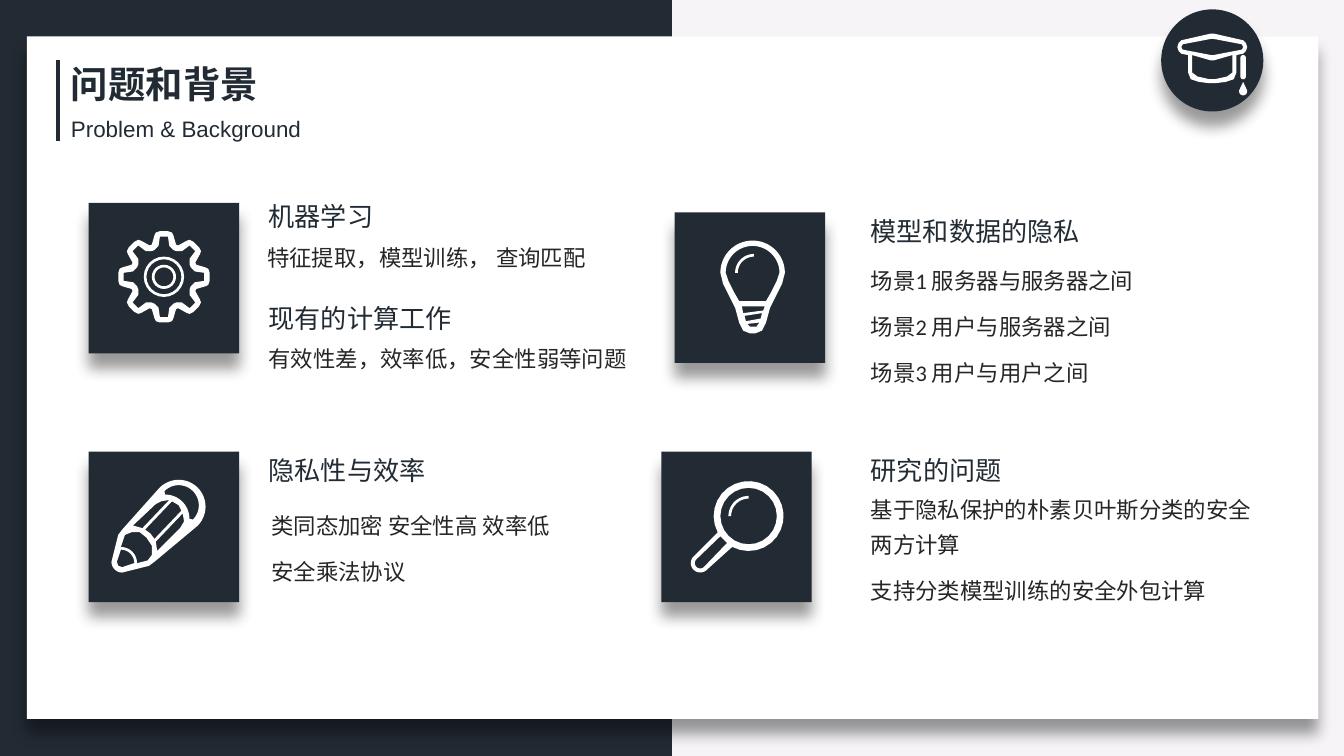
"""Build the problem and background slide with four icon tiles and their texts."""
from dataclasses import dataclass
from math import cos, radians, sin

from lxml.etree import SubElement
from pptx import Presentation
from pptx.dml.color import RGBColor
from pptx.enum.shapes import MSO_CONNECTOR as Connector
from pptx.enum.shapes import MSO_SHAPE as Preset
from pptx.enum.text import MSO_AUTO_SIZE as AutoSize
from pptx.oxml.ns import qn
from pptx.util import Inches, Pt

NAVY = RGBColor(0x22, 0x2B, 0x34)
GREY = RGBColor(0x26, 0x26, 0x26)
WHITE = RGBColor(0xFF, 0xFF, 0xFF)
PALE = RGBColor(0xF6, 0xF4, 0xF7)
CJK_FONT = "Noto Sans CJK SC"
SLIDE_WIDTH = 10
SLIDE_HEIGHT = SLIDE_WIDTH * 9 / 16

Point = tuple[float, float]
Contour = list[Point]


@dataclass(frozen=True)
class Style:
    font: dict
    color: RGBColor
    paragraph: dict
    wrap: bool = False


@dataclass(frozen=True)
class Label:
    left: float
    top: float
    width: float
    height: float
    style: Style
    lines: tuple[str, ...]


@dataclass(frozen=True)
class Badge:
    left: float
    top: float
    size: float
    preset: Preset
    icon: list[list[Contour]]


TITLE = Style({"size": Pt(20), "name": CJK_FONT, "bold": True}, NAVY, {})
SUBTITLE = Style({"size": Pt(12), "name": "Arial"}, NAVY, {})
HEADING = Style({"size": Pt(14), "name": "Arial"}, NAVY, {})
BODY = Style({"size": Pt(12), "name": "Calibri"}, GREY,
             {"line_spacing": 1.3, "space_before": Pt(6)}, True)

LABELS = [
    Label(0.43, 0.41, 1.67, 0.44, TITLE, ("问题和背景",)),
    Label(0.43, 0.81, 1.93, 0.3, SUBTITLE, ("Problem & Background",)),
    Label(1.9, 1.44, 0.99, 0.34, HEADING, ("机器学习",)),
    Label(1.89, 1.71, 3.12, 0.36, BODY, ("特征提取，模型训练， 查询匹配",)),
    Label(1.9, 2.2, 1.58, 0.34, HEADING, ("现有的计算工作",)),
    Label(1.9, 2.46, 3.12, 0.36, BODY, ("有效性差，效率低，安全性弱等问题",)),
    Label(6.38, 1.55, 1.83, 0.34, HEADING, ("模型和数据的隐私",)),
    Label(6.38, 1.88, 3.12, 1.06, BODY, ("场景1 服务器与服务器之间", "场景2 用户与服务器之间", "场景3 用户与用户之间")),
    Label(1.9, 3.33, 1.38, 0.34, HEADING, ("隐私性与效率",)),
    Label(1.92, 3.7, 2.89, 0.71, BODY, ("类同态加密 安全性高 效率低", "安全乘法协议")),
    Label(6.38, 3.33, 1.18, 0.34, HEADING, ("研究的问题",)),
    Label(6.38, 3.58, 3.12, 0.97, BODY, ("基于隐私保护的朴素贝叶斯分类的安全两方计算", "支持分类模型训练的安全外包计算")),
]


def arc(x: float, y: float, radius: float, start: float = 0, end: float = 360) -> Contour:
    """Return points along an arc, with angles running clockwise from the right."""
    angles = [radians(start + (end - start) * step / 24) for step in range(25)]
    return [(x + radius * cos(angle), y + radius * sin(angle)) for angle in angles]


def mirror(axis: float, half: Contour) -> Contour:
    """Close a right half, listed top to bottom, with its reflection."""
    return half + [(2 * axis - x, y) for x, y in reversed(half)]


def ring(x: float, y: float, outer: float, inner: float) -> list[Contour]:
    """Return the two edges of a ring."""
    return [arc(x, y, outer), arc(x, y, inner)]


def glint(x: float, y: float, outer: float, inner: float) -> list[Contour]:
    """Return a quarter band of reflected light."""
    return [arc(x, y, outer, 180, 270) + arc(x, y, inner, 270, 180)]


def cog(x: float, y: float, half_tooth: Contour) -> Contour:
    """Turn one mirrored tooth around a centre eight times."""
    tooth = [(-dx, dy) for dx, dy in half_tooth] + half_tooth[::-1]
    turns = [radians(45 * step) for step in range(8)]
    return [(x + dx * cos(turn) - dy * sin(turn), y + dx * sin(turn) + dy * cos(turn))
            for turn in turns for dx, dy in tooth]


CAP = [
    [mirror(9.02, [(9.03, 0.25), (9.25, 0.3), (9.27, 0.32), (9.28, 0.35), (9.27, 0.38), (9.25, 0.4),
                   (9.2, 0.41), (9.2, 0.54), (9.18, 0.59), (9.12, 0.61), (9.04, 0.62)]),
     mirror(9.02, [(9.03, 0.29), (9.24, 0.33), (9.25, 0.35), (9.24, 0.37), (9.03, 0.41)]),
     mirror(9.02, [(9.03, 0.45), (9.17, 0.41), (9.17, 0.54), (9.13, 0.57), (9.04, 0.59)])],
    [arc(9.25, 0.43, 0.02, 180, 360) + arc(9.25, 0.57, 0.02, 0, 180)],
    [[(9.25, 0.61)] + arc(9.25, 0.68, 0.03, -20, 200)],
]
PENCIL = [[
    arc(1.33, 3.77, 0.2, 225, 405) + [(1.15, 4.18), (1.11, 4.21)]
    + arc(0.91, 4.18, 0.08, 90, 180) + [(0.88, 3.98), (0.91, 3.94)],
    arc(1.33, 3.76, 0.15, 225, 405) + arc(1.23, 3.86, 0.18, 0, -90),
    arc(0.9, 4.19, 0.12, 0, -90) + [(0.93, 3.98), (0.98, 3.96), (1.04, 3.96), (1.09, 4),
                                    (1.13, 4.06), (1.13, 4.13), (1.1, 4.17)],
    arc(0.9, 4.19, 0.1, 0, -90) + [(0.87, 4.18), (0.88, 4.21), (0.91, 4.22)],
    [(1.06, 3.93), (0.99, 3.91), (1.16, 3.75), (1.2, 3.73), (1.26, 3.72)],
    [(1.15, 4.01), (1.12, 3.97), (1.08, 3.94), (1.28, 3.73), (1.33, 3.76), (1.35, 3.8)],
    [(1.17, 4.1), (1.16, 4.03), (1.36, 3.82), (1.37, 3.88), (1.34, 3.93)],
]]
BULB = [
    [mirror(5.6, arc(5.6, 2.03, 0.24, -90, 0) + [
        (5.82, 2.11), (5.78, 2.19), (5.73, 2.29), (5.7, 2.4), (5.67, 2.46), (5.62, 2.48)]),
     mirror(5.6, arc(5.6, 2.03, 0.2, -90, 0) + [(5.78, 2.09), (5.74, 2.17), (5.7, 2.24)]),
     [(5.52, 2.28), (5.69, 2.28), (5.68, 2.31), (5.53, 2.33)],
     [(5.54, 2.35), (5.67, 2.33), (5.66, 2.37), (5.55, 2.39)],
     [(5.56, 2.41), (5.65, 2.4), (5.63, 2.43), (5.58, 2.43)]],
    glint(5.61, 2.03, 0.14, 0.12),
]
GEAR = [
    [cog(1.22, 2.06, [(0.09, -0.24), (0.07, -0.31), (0.06, -0.33), (0.03, -0.34)]),
     cog(1.22, 2.06, [(0.07, -0.2), (0.04, -0.23), (0.03, -0.3)])],
    ring(1.22, 2.06, 0.15, 0.13),
    ring(1.22, 2.06, 0.09, 0.07),
]
MAGNIFIER = [
    [arc(5.57, 3.84, 0.26, 152, 478) + arc(5.21, 4.19, 0.07, 45, 225),
     arc(5.57, 3.84, 0.21),
     [(5.36, 3.99), (5.41, 4.04)] + arc(5.21, 4.19, 0.04, 45, 225)],
    glint(5.57, 3.84, 0.15, 0.13),
]
BADGES = [
    Badge(8.64, 0.07, 0.76, Preset.OVAL, CAP),
    Badge(0.66, 3.36, 1.12, Preset.RECTANGLE, PENCIL),
    Badge(5.02, 1.58, 1.12, Preset.RECTANGLE, BULB),
    Badge(0.66, 1.51, 1.12, Preset.RECTANGLE, GEAR),
    Badge(4.92, 3.36, 1.12, Preset.RECTANGLE, MAGNIFIER),
]


def paint(shape, color: RGBColor, shadow: bool = False) -> None:
    """Fill a shape without outline and optionally drop a soft shadow below it."""
    shape.fill.solid()
    shape.fill.fore_color.rgb = color
    shape.line.fill.background()
    shape.shadow.inherit = False
    if shadow:
        effects = shape._element.spPr.find(qn("a:effectLst"))
        outer = SubElement(effects, qn("a:outerShdw"), blurRad=str(Pt(8)), dist=str(Pt(8)),
                           dir="5400000", algn="t", rotWithShape="0")
        black = SubElement(outer, qn("a:srgbClr"), val="000000")
        SubElement(black, qn("a:alpha"), val="40000")


def add_block(shapes, preset: Preset, box: tuple[float, ...], color: RGBColor, shadow: bool) -> None:
    """Add one filled preset shape."""
    paint(shapes.add_shape(preset, *map(Inches, box)), color, shadow)


def add_badge(slide, badge: Badge) -> None:
    """Add a dark tile grouped with its white icon."""
    shapes = slide.shapes.add_group_shape().shapes
    add_block(shapes, badge.preset, (badge.left, badge.top, badge.size, badge.size), NAVY, True)
    for contours in badge.icon:
        outlines = [[(Inches(x), Inches(y)) for x, y in contour] for contour in contours]
        builder = shapes.build_freeform(*outlines[0][0])
        for index, outline in enumerate(outlines):
            if index:
                builder.move_to(*outline[0])
            builder.add_line_segments(outline[1:], close=True)
        paint(builder.convert_to_shape(), WHITE)


def add_label(slide, label: Label) -> None:
    """Add a text box with one paragraph per line."""
    box = map(Inches, (label.left, label.top, label.width, label.height))
    frame = slide.shapes.add_textbox(*box).text_frame
    frame.word_wrap = label.style.wrap
    frame.auto_size = AutoSize.SHAPE_TO_FIT_TEXT
    for index, line in enumerate(label.lines):
        paragraph = frame.add_paragraph() if index else frame.paragraphs[0]
        for name, value in label.style.paragraph.items():
            if index or name != "space_before":
                setattr(paragraph, name, value)
        run = paragraph.add_run()
        run.text = line
        for name, value in label.style.font.items():
            setattr(run.font, name, value)
        run.font.color.rgb = label.style.color
        SubElement(run._r.get_or_add_rPr(), qn("a:ea"), typeface=CJK_FONT)


def main() -> None:
    """Assemble and save the slide."""
    presentation = Presentation()
    presentation.slide_width, presentation.slide_height = Inches(SLIDE_WIDTH), Inches(SLIDE_HEIGHT)
    slide = presentation.slides.add_slide(presentation.slide_layouts[6])
    slide.background.fill.solid()
    slide.background.fill.fore_color.rgb = PALE
    add_block(slide.shapes, Preset.RECTANGLE, (0, 0, SLIDE_WIDTH / 2, SLIDE_HEIGHT), NAVY, False)
    add_block(slide.shapes, Preset.RECTANGLE, (0.2, 0.27, 9.61, 5.08), WHITE, True)
    rule = slide.shapes.add_connector(Connector.STRAIGHT, *map(Inches, (0.43, 0.45, 0.43, 1.05)))
    rule.line.color.rgb, rule.line.width = NAVY, Pt(2.25)
    SubElement(rule._element.spPr, qn("a:effectLst"))
    for badge in BADGES:
        add_badge(slide, badge)
    for label in LABELS:
        add_label(slide, label)
    presentation.save("out.pptx")


if __name__ == "__main__":
    main()
